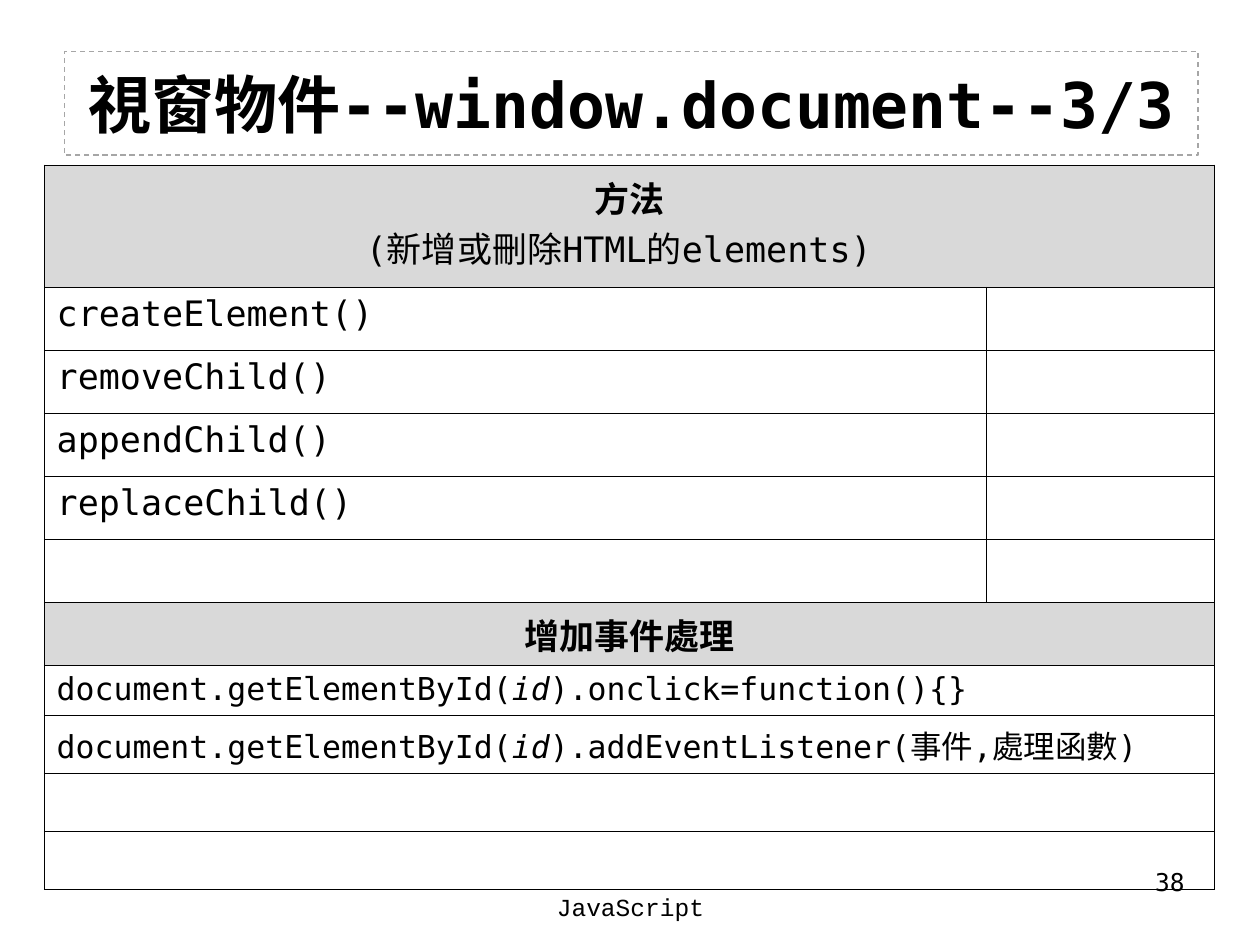
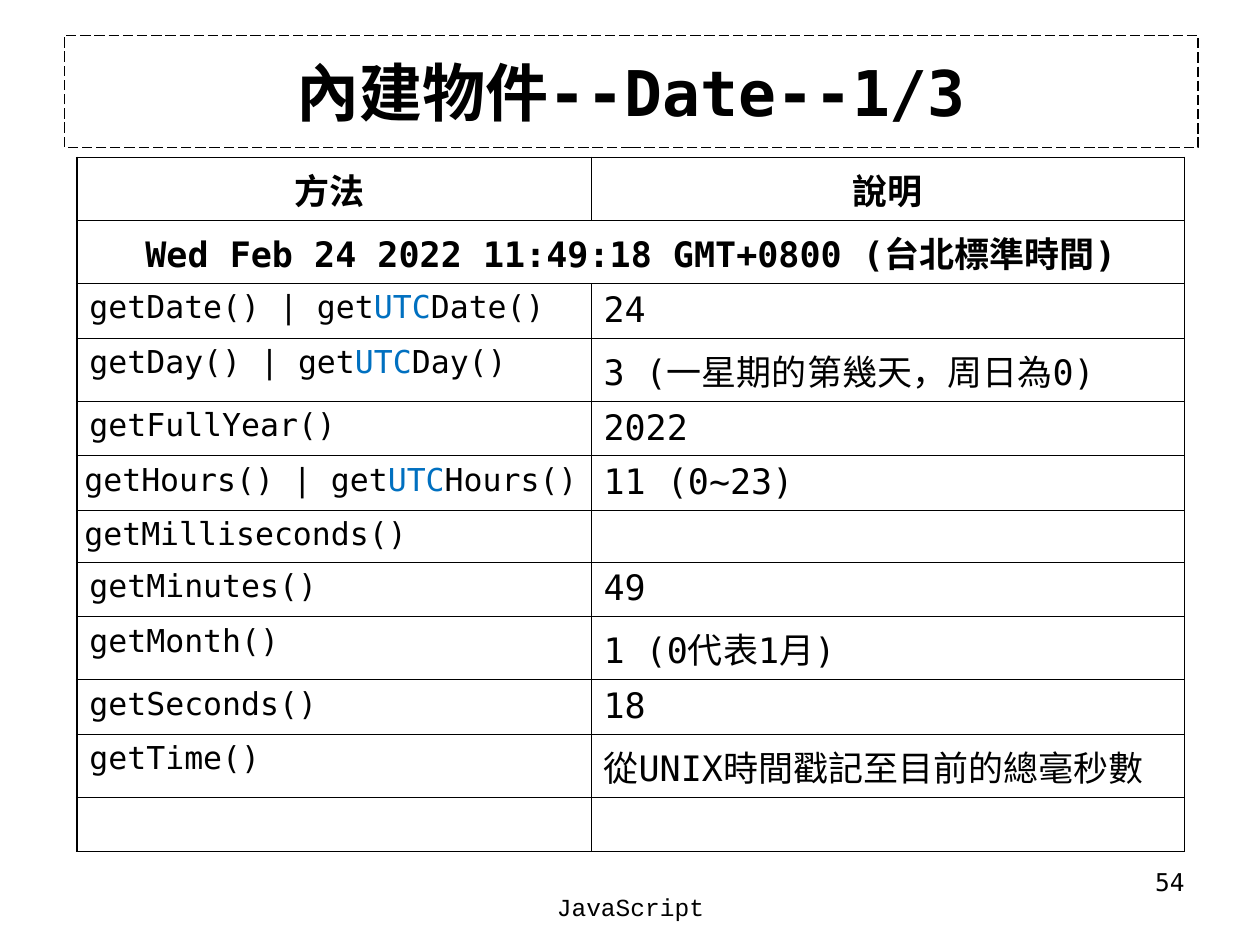
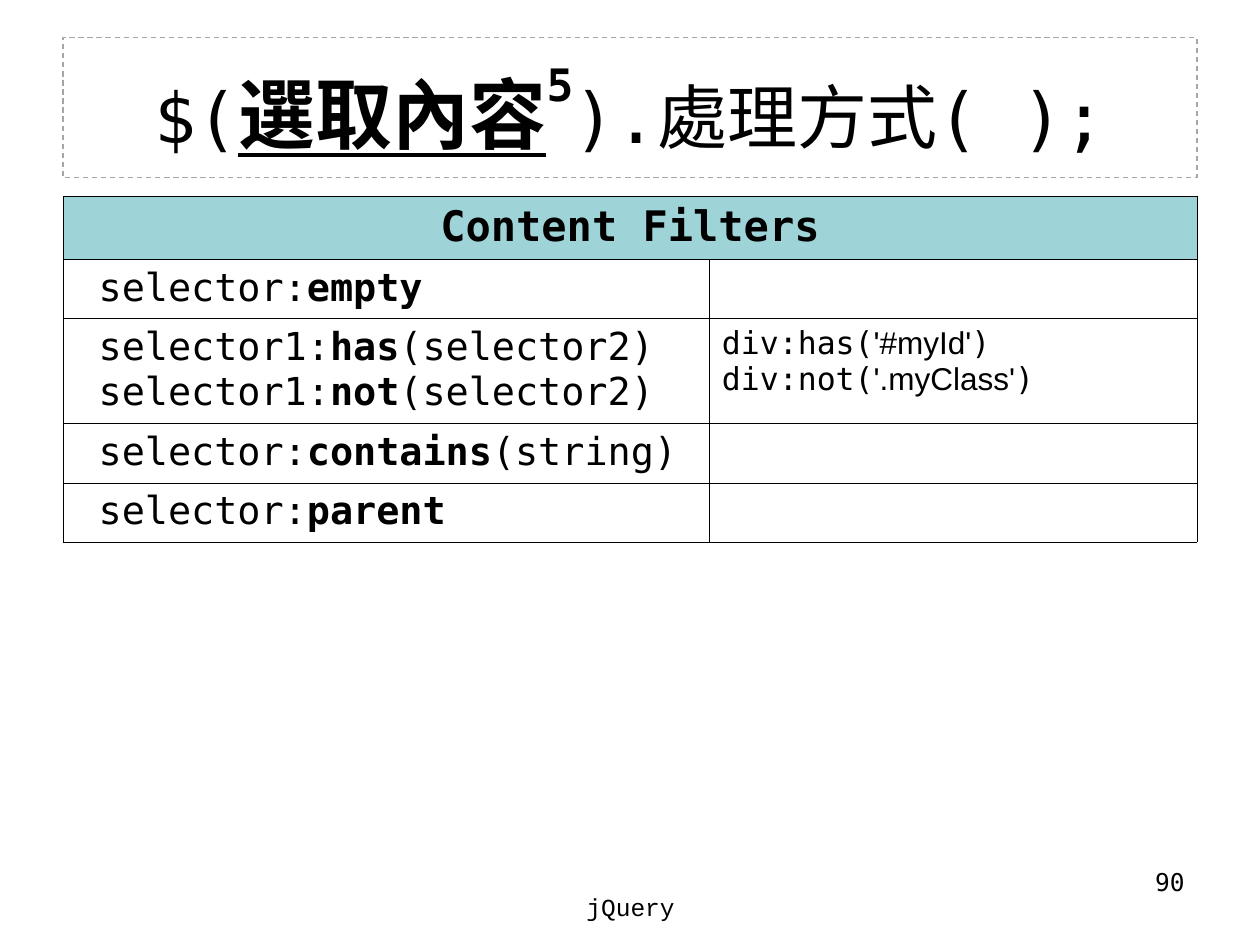
import pptx
import pptx.dml.color
import pptx.enum.dml
import pptx.enum.text
import pptx.oxml
import pptx.oxml.ns
import pptx.util
from pptx.util import Inches

COLORS = {
    "text": "000000",
    "border": "000000",
    "title_line": "A6A6A6",
    "utc": "0070C0",
    "section": "D9D9D9",
    "filters": "9ED3D7",
}
MONO = "DejaVu Sans Mono"
FOOTER_FONT = "Courier New"
THIN, THICK = 0.45, 1.08
ALIGN = pptx.enum.text.PP_ALIGN
DASH = pptx.enum.dml.MSO_LINE.DASH
LONG_DASH = pptx.enum.dml.MSO_LINE.LONG_DASH
BOLD = {"bold": True}
ITALIC = {"italic": True}
UTC = {"color": "utc"}
ARIAL = {"name": "Arial"}


def rgb(key):
    return pptx.dml.color.RGBColor.from_string(COLORS[key])


def style_font(font, size=None, name=None, color=None, bold=None, italic=None, underline=None):
    if size:
        font.size = pptx.util.Pt(size)
    if name:
        font.name = name
    if color:
        font.color.rgb = rgb(color)
    if bold is not None:
        font.bold = bold
    if italic:
        font.italic = True
    if underline:
        font.underline = True


def write_paragraph(p, runs, align, size, name=MONO, bold=False):
    p.alignment = align
    style_font(p.font, size, name, "text", bold)
    for run in [runs] if isinstance(runs, str) else runs:
        text, changes = (run, {}) if isinstance(run, str) else run
        changes = dict(changes)
        baseline = changes.pop("baseline", None)
        r = p.add_run()
        r.text = text
        style_font(r.font, **changes)
        if baseline:
            r._r.get_or_add_rPr().set("baseline", str(baseline * 1000))


def add_text(s, box, runs, align, size, name=MONO, bold=False):
    sp = s.shapes.add_textbox(*map(Inches, box))
    tf = sp.text_frame
    tf.word_wrap = True
    write_paragraph(tf.paragraphs[0], runs, align, size, name, bold)
    return sp


def add_title(s, box, runs, size=36, bold=True, line="title_line", dash=DASH):
    sp = add_text(s, box, runs, ALIGN.CENTER, size, bold=bold)
    sp.text_frame.vertical_anchor = pptx.enum.text.MSO_ANCHOR.MIDDLE
    sp.line.color.rgb = rgb(line)
    sp.line.width = pptx.util.Pt(0.75)
    sp.line.dash_style = dash


def add_footer(s, topic, number):
    add_text(s, (7.17, 6.83, 2.33, 0.52), str(number), ALIGN.RIGHT, 14)
    add_text(s, (3.42, 7.03, 3.17, 0.47), topic, ALIGN.CENTER, 14, FOOTER_FONT)


def text_cell(*paragraphs, size=20, bold=False, align=ALIGN.LEFT, fill=None, side=0.1):
    return {"paragraphs": paragraphs, "size": size, "bold": bold,
            "align": align, "fill": fill, "side": side}


def head_cell(*paragraphs, size=20, fill=None):
    return text_cell(*paragraphs, size=size, bold=True, align=ALIGN.CENTER, fill=fill)


def set_borders(cell, widths):
    tcPr = cell._tc.get_or_add_tcPr()
    for i, (side, width) in enumerate(widths.items()):
        tcPr.insert(i, pptx.oxml.parse_xml(
            f'<a:ln{side} {pptx.oxml.ns.nsdecls("a")} w="{pptx.util.Pt(width)}">'
            f'<a:solidFill><a:srgbClr val="{COLORS["border"]}"/></a:solidFill>'
            f'<a:prstDash val="solid"/></a:ln{side}>'))


def fill_cell(cell, content):
    if content["fill"]:
        cell.fill.solid()
        cell.fill.fore_color.rgb = rgb(content["fill"])
    cell.margin_left = cell.margin_right = Inches(content["side"])
    tf = cell.text_frame
    for i, runs in enumerate(content["paragraphs"]):
        p = tf.add_paragraph() if i else tf.paragraphs[0]
        write_paragraph(p, runs, content["align"], content["size"], bold=content["bold"])


def add_grid(s, left, top, cols, rows, outer=THIN):
    height = sum(h for h, _ in rows)
    frame = s.shapes.add_table(len(rows), len(cols), Inches(left), Inches(top),
                               Inches(sum(cols)), Inches(height))
    table = frame.table
    table.first_row = table.horz_banding = False
    for column, width in zip(table.columns, cols):
        column.width = Inches(width)
    last = len(cols) - 1
    for i, (row_height, contents) in enumerate(rows):
        table.rows[i].height = Inches(row_height)
        for j in range(len(cols)):
            cell = table.cell(i, j)
            cell.fill.background()
            set_borders(cell, {
                "L": THIN if j else outer,
                "R": outer if j == last or len(contents) == 1 else THIN,
                "T": THIN if i else outer,
                "B": THIN,
            })
        if len(contents) == 1:
            table.cell(i, 0).merge(table.cell(i, last))
        for j, content in enumerate(contents):
            if content:
                fill_cell(table.cell(i, j), content)
    return table


def add_document_slide(s):
    add_title(s, (0.51, 0.41, 9, 0.82), "視窗物件--window.document--3/3")
    head = head_cell("方法", [("(新增或刪除HTML的elements) ", {"bold": False})], fill="section")
    methods = ["createElement()", "removeChild()", "appendChild()", "replaceChild()"]
    target = ["document.getElementById(", ("id", ITALIC)]
    rows = [(0.97, [head])]
    rows += [(0.5, [text_cell(method), None]) for method in methods]
    rows += [
        (0.5, [None, None]),
        (0.5, [head_cell("增加事件處理", fill="section")]),
        (0.39, [text_cell(target + [").onclick=function(){}"], size=18)]),
        (0.46, [text_cell(target + [").addEventListener(事件,處理函數)"], size=18)]),
        (0.46, [None]),
        (0.46, [None]),
    ]
    add_grid(s, 0.35, 1.31, [7.48, 1.81], rows)
    add_footer(s, "JavaScript", 38)


def with_utc(part):
    return [f"get{part}() | get", ("UTC", UTC), f"{part}()"]


def add_date_slide(s):
    add_title(s, (0.51, 0.28, 9, 0.89), "內建物件--Date--1/3", line="text", dash=LONG_DASH)
    methods = [
        (0.43, with_utc("Date"), "24", 0.1),
        (0.5, with_utc("Day"), "3 (一星期的第幾天，周日為0)", 0.1),
        (0.43, "getFullYear()", "2022", 0.1),
        (0.43, with_utc("Hours"), "11 (0~23)", 0.06),
        (0.41, "getMilliseconds()", None, 0.06),
        (0.43, "getMinutes()", "49", 0.1),
        (0.5, "getMonth()", "1 (0代表1月)", 0.1),
        (0.43, "getSeconds()", "18", 0.1),
        (0.5, "getTime()", "從UNIX時間戳記至目前的總毫秒數", 0.1),
    ]
    rows = [
        (0.5, [head_cell("方法 "), head_cell("說明")]),
        (0.5, [head_cell("Wed Feb 24 2022 11:49:18 GMT+0800 (台北標準時間)")]),
    ]
    rows += [(height, [text_cell(method, size=18, side=side), result and text_cell(result)])
             for height, method, result, side in methods]
    rows.append((0.43, [None, None]))
    add_grid(s, 0.61, 1.25, [4.08, 4.71], rows, outer=THICK)
    add_footer(s, "JavaScript", 54)


def selector(name, before=" selector:", after=""):
    return [before, (name, BOLD)] + ([after] if after else [])


def add_filters_slide(s):
    strong = {"size": 44, "bold": True}
    add_title(s, (0.5, 0.3, 9, 1.11), [
        "$(",
        ("選取內容", {**strong, "underline": True}),
        ("5", {**strong, "baseline": 54}),
        ").處理方式( );",
    ], size=40, bold=False)
    pairs = [selector(name, " selector1:", "(selector2)") for name in ("has", "not")]
    examples = [["div:has(", ("'#myId'", ARIAL), ")"],
                ["div:not(", ("'.myClass'", ARIAL), ")"]]
    rows = [
        (0.5, [head_cell("Content Filters", size=24, fill="filters")]),
        (0.47, [text_cell(selector("empty"), size=22), None]),
        (0.83, [text_cell(*pairs, size=22), text_cell(*examples, size=18)]),
        (0.47, [text_cell(selector("contains", after="(string)"), size=22), None]),
        (0.47, [text_cell(selector("parent"), size=22), None]),
    ]
    add_grid(s, 0.5, 1.56, [5.13, 3.87], rows)
    add_footer(s, "jQuery", 90)


def main():
    prs = pptx.Presentation()
    prs.slide_width = Inches(10)
    prs.slide_height = Inches(7.5)
    for build in (add_document_slide, add_date_slide, add_filters_slide):
        build(prs.slides.add_slide(prs.slide_layouts[6]))
    prs.save("out.pptx")


if __name__ == "__main__":
    main()
